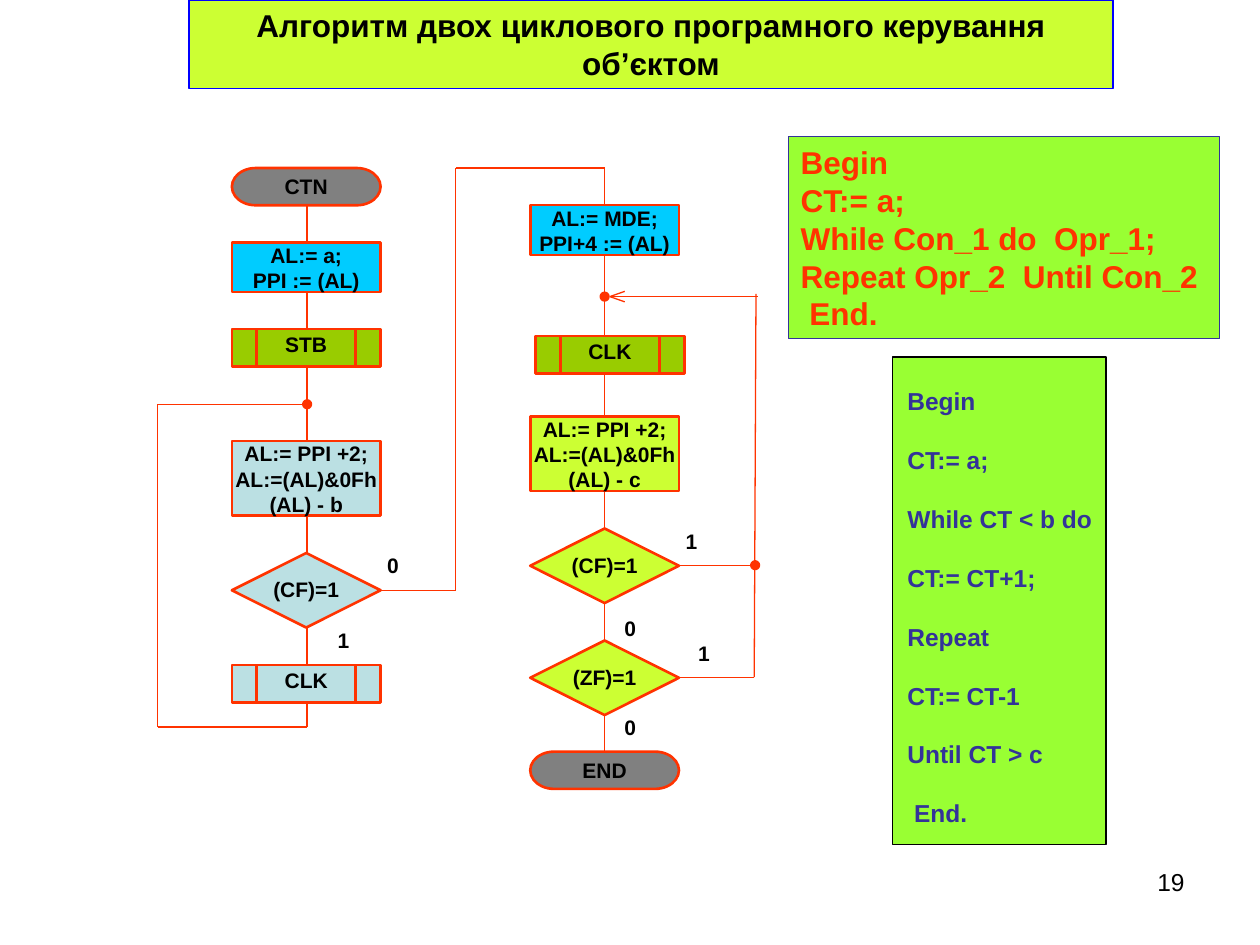
from pptx import Presentation
from pptx.dml.color import RGBColor
from pptx.enum.shapes import MSO_CONNECTOR, MSO_SHAPE as Preset
from pptx.enum.text import MSO_ANCHOR as Anchor, PP_ALIGN as Align
from pptx.oxml.ns import qn
from pptx.util import Pt
from lxml.etree import SubElement

RED = "FF3300"
GRAY, CYAN, GREEN, PALE, LIME = "808080", "00CCFF", "99CC00", "BBE0E3", "CCFF33"
LEFT, RIGHT = 132.5, 303
WIDTH, BAR = 85, 14.25

deck = Presentation()
deck.slide_width, deck.slide_height = Pt(720), Pt(540)
page = deck.slides.add_slide(deck.slide_layouts[6])


def add_box(preset, x, y, width, height, fill, line, weight, text="",
            size=12, color="000000", align=Align.CENTER, inset=(0, 0, 0, 0)):
    box = page.shapes.add_shape(preset, Pt(x), Pt(y), Pt(width), Pt(height))
    box.shadow.inherit = False
    box.fill.solid()
    box.fill.fore_color.rgb = RGBColor.from_string(fill)
    if line:
        box.line.color.rgb = RGBColor.from_string(line)
        box.line.width = Pt(weight)
    else:
        box.line.fill.background()
    frame = box.text_frame
    frame.word_wrap = True
    frame.vertical_anchor = Anchor.TOP
    frame.margin_left, frame.margin_top, frame.margin_right, frame.margin_bottom = map(Pt, inset)
    frame.text = text
    for para in frame.paragraphs:
        para.alignment = align
        for span in para.runs:
            span.font.name = "Arial"
            span.font.size = Pt(size)
            span.font.bold = True
            span.font.color.rgb = RGBColor.from_string(color)
    return box


def add_line(x1, y1, x2, y2, weight=0.75):
    line = page.shapes.add_connector(MSO_CONNECTOR.STRAIGHT, Pt(x1), Pt(y1), Pt(x2), Pt(y2))
    line.line.color.rgb = RGBColor.from_string(RED)
    line.line.width = Pt(weight)
    SubElement(line._element.spPr, qn("a:effectLst"))


add_box(Preset.RECTANGLE, 108, 0, 528, 50.5, LIME, "0000FF", 0.75,
        "Алгоритм двох циклового програмного керування об’єктом",
        size=18, inset=(7.2, 3.6, 7.2, 3.6))

flow_lines = [
    (175.5, 117, 175.5, 415.5),
    (175.5, 415.5, 90, 415.5),
    (90, 415.5, 90, 231),
    (90, 231, 175.5, 231),
    (217.5, 337.5, 260.5, 337.5),
    (260.5, 337.5, 260.5, 96),
    (260.5, 96, 345.5, 96),
    (345.5, 96, 345.5, 443.5),
    (388, 323, 431, 323),
    (388, 387, 431, 387),
    (431, 387, 432, 168),
    (433, 169.5, 348.5, 169.5),
    (348.5, 169.5, 357, 166.5),
    (348.5, 169.5, 357, 172.5),
]
for ends in flow_lines:
    add_line(*ends)

terminators = [(LEFT, 96, "CTN"), (RIGHT, 429.5, "END")]
for x, y, text in terminators:
    add_box(Preset.FLOWCHART_TERMINATOR, x, y, WIDTH, 21.3, GRAY, RED, 1.5, text)

operations = [
    (LEFT, 138.5, 28.5, CYAN, "AL:= a;\nPPI := (AL)"),
    (RIGHT, 117.2, 28.5, CYAN, "AL:= MDE;\nPPI+4 := (AL)"),
    (LEFT, 252, 42.6, PALE, "AL:= PPI +2;\nAL:=(AL)&0Fh\n(AL) - b"),
    (RIGHT, 238, 42.6, LIME, "AL:= PPI +2;\nAL:=(AL)&0Fh\n(AL) - c"),
]
for x, y, height, fill, text in operations:
    add_box(Preset.RECTANGLE, x, y, WIDTH, height, fill, RED, 1.5, text)

procedures = [
    (LEFT, 188, GREEN, "STB"),
    (LEFT, 380, PALE, "CLK"),
    (RIGHT + 3, 192, GREEN, "CLK"),
]
for x, y, fill, text in procedures:
    add_box(Preset.RECTANGLE, x, y, WIDTH, 21.3, fill, RED, 1.5, text, inset=(0, 1.5, 0, 0))
    for bar in (x + BAR, x + WIDTH - BAR):
        add_line(bar, y, bar, y + 21.3, 1.5)

decisions = [
    (LEFT, 316, PALE, "(CF)=1"),
    (RIGHT, 302, LIME, "(CF)=1"),
    (RIGHT, 366, LIME, "(ZF)=1"),
]
for x, y, fill, text in decisions:
    add_box(Preset.FLOWCHART_DECISION, x, y, WIDTH, 42.6, fill, RED, 1.5, text, inset=(0, 3, 0, 0))

branches = [
    (217.5, 316, "0"), (189.2, 358.5, "1"), (388, 302, "1"),
    (353, 351.5, "0"), (395.2, 366, "1"), (353, 408.5, "0"),
]
for x, y, text in branches:
    add_box(Preset.RECTANGLE, x, y, 14.2, 14.2, "FFFFFF", None, 0, text)

for x, y in [(175.5, 231), (345.5, 169.5), (431.5, 323)]:
    add_box(Preset.OVAL, x - 1.4, y - 1.4, 2.8, 2.8, "FFFFFF", RED, 3)

scheme = add_box(
    Preset.RECTANGLE, 450.5, 78, 246.5, 115.5, "99FF33", "333399", 0.75,
    "Begin\nCT:= a;\nWhile Con_1 do  Opr_1;\nRepeat Opr_2  Until Con_2\n End.",
    size=18, color=RED, align=Align.LEFT, inset=(7.2, 3.6, 7.2, 3.6))
scheme.text_frame.word_wrap = False
scheme.text_frame.vertical_anchor = Anchor.MIDDLE

program = add_box(
    Preset.RECTANGLE, 510, 204, 122, 278.5, "99FF33", "000000", 0.75,
    "Begin\nCT:= a;\nWhile CT < b do\nCT:= CT+1;\nRepeat\nCT:= CT-1\nUntil CT > c\n End.",
    size=14, color="333399", align=Align.LEFT, inset=(8.5, 0, 0, 0))
for para in program.text_frame.paragraphs:
    para.line_spacing = 2.0

number = page.shapes.add_textbox(Pt(516), Pt(492), Pt(168), Pt(37.5))
number.text_frame.word_wrap = True
number.text_frame.text = "19"
para = number.text_frame.paragraphs[0]
para.alignment = Align.RIGHT
span = para.runs[0]
span.font.name = "Arial"
span.font.size = Pt(14)
span.font.color.rgb = RGBColor.from_string("000000")

deck.save("out.pptx")
